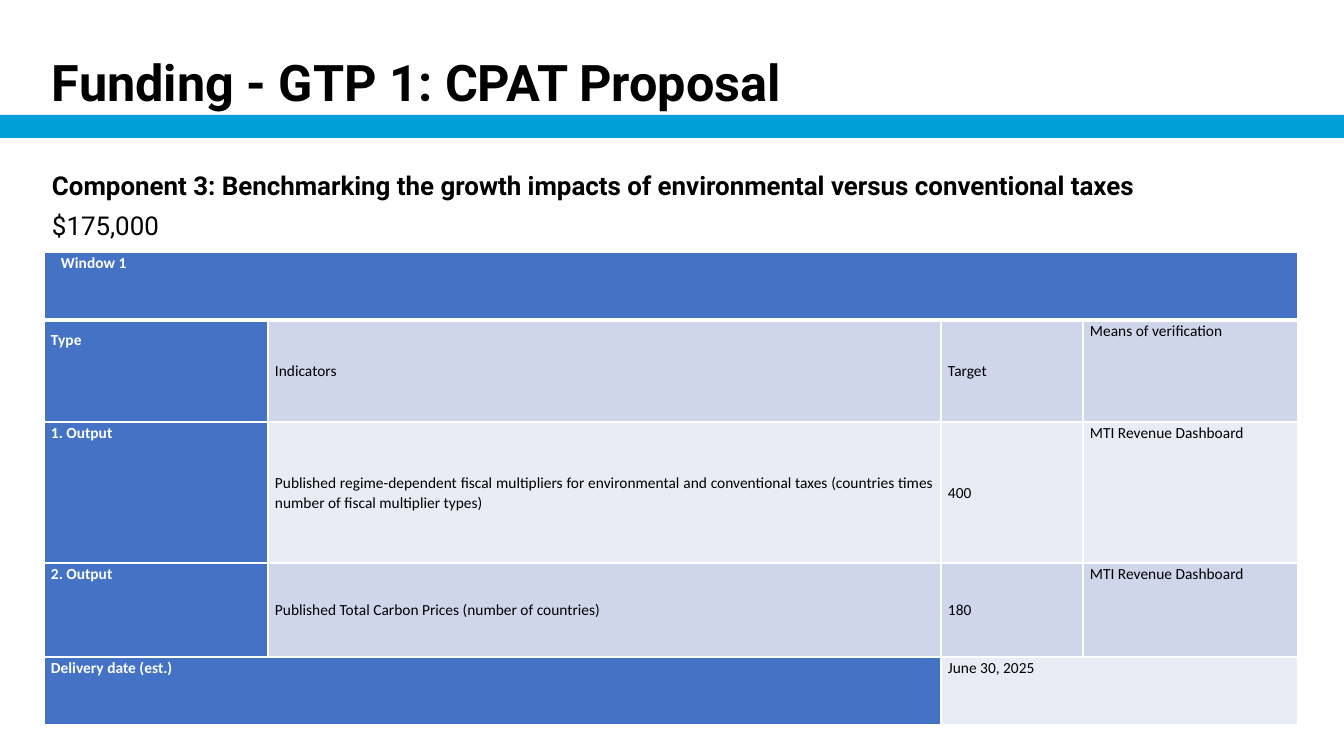
"""Build the funding proposal slide with its indicator table."""
from dataclasses import dataclass

from lxml.etree import SubElement
from pptx import Presentation
from pptx.dml.color import RGBColor
from pptx.enum.shapes import MSO_SHAPE
from pptx.enum.text import MSO_ANCHOR, PP_ALIGN
from pptx.oxml.ns import qn
from pptx.util import Pt

EMU_PER_PX = 914400 / 100.8


@dataclass(frozen=True)
class Theme:
    """Colours, fonts and type sizes of the slide."""
    black: str = "000000"
    white: str = "FFFFFF"
    bar: str = "009FDA"
    header: str = "4472C4"
    dark_band: str = "CFD5EA"
    light_band: str = "E9EBF5"
    heading_font: str = "Roboto"
    table_font: str = "Calibri"
    title_size: float = 36
    body_size: float = 18.5
    table_size: float = 11


THEME = Theme()
COLUMNS = (224, 673, 142, 215)
ROWS = (68, 102, 141, 94, 68)
CONTENT = (
    ("Window 1", None, None, None),
    ("Type", "Indicators", "Target", "Means of verification"),
    ("1. Output",
     "Published regime-dependent fiscal multipliers for environmental and "
     "conventional taxes (countries times number of fiscal multiplier types)",
     "400", "MTI Revenue Dashboard"),
    ("2. Output", "Published Total Carbon Prices (number of countries)",
     "180", "MTI Revenue Dashboard"),
    ("Delivery date (est.)", None, "June 30, 2025", None),
)
MERGES = (((0, 0), (0, 3)), ((4, 0), (4, 1)), ((4, 2), (4, 3)))


def px(length):
    """Turn pixels into EMU."""
    return round(length * EMU_PER_PX)


def place(left, top, width, height):
    """Return a frame in EMU."""
    return px(left), px(top), px(width), px(height)


def style_font(font, name, size, color, bold):
    """Set the face, size, colour and weight of a font."""
    font.name = name
    font.size = Pt(size)
    font.bold = bold
    font.color.rgb = RGBColor.from_string(color)


def add_bar(page, frame):
    """Add the coloured bar under the title."""
    bar = page.shapes.add_shape(MSO_SHAPE.RECTANGLE, *place(*frame))
    bar.shadow.inherit = False
    bar.fill.solid()
    bar.fill.fore_color.rgb = RGBColor.from_string(THEME.bar)
    bar.line.fill.background()


def add_text(page, frame, lines, size, spacing, anchor):
    """Add a text box from pairs of wording and weight."""
    box = page.shapes.add_textbox(*place(*frame)).text_frame
    box.word_wrap = True
    box.vertical_anchor = anchor
    box.margin_left = box.margin_right = px(10)
    box.margin_top = box.margin_bottom = px(5)
    for index, (wording, bold) in enumerate(lines):
        para = box.add_paragraph() if index else box.paragraphs[0]
        para.text = wording
        para.line_spacing = spacing
        style_font(para.font, THEME.heading_font, size, THEME.black, bold)


def set_borders(cell, row):
    """Draw white cell borders, thicker between the first two rows."""
    properties = cell._tc.get_or_add_tcPr()
    for side in ("L", "R", "T", "B"):
        thick = (row, side) in ((0, "B"), (1, "T"))
        line = SubElement(properties, qn(f"a:ln{side}"), w=str(Pt(3 if thick else 1)))
        fill = SubElement(line, qn("a:solidFill"))
        SubElement(fill, qn("a:srgbClr"), val=THEME.white)


def fill_cell(cell, row, column, wording):
    """Set the borders, fill and text of one table cell."""
    is_header = column == 0 or row == 0 or (row == 4 and column == 1)
    band = THEME.dark_band if row % 2 else THEME.light_band
    set_borders(cell, row)
    cell.fill.solid()
    cell.fill.fore_color.rgb = RGBColor.from_string(THEME.header if is_header else band)
    cell.margin_left = px(17 if row == 0 else 7)
    cell.margin_right = px(7)
    cell.margin_top = px(9 if wording == "Type" else 0)
    cell.margin_bottom = 0
    centred = column in (1, 2) and row in (1, 2, 3)
    cell.vertical_anchor = MSO_ANCHOR.MIDDLE if centred else MSO_ANCHOR.TOP
    if wording is None:
        return
    para = cell.text_frame.paragraphs[0]
    para.text = wording
    para.line_spacing = 1.07
    para.alignment = PP_ALIGN.LEFT if column == 3 else PP_ALIGN.JUSTIFY
    style_font(para.font, THEME.table_font, THEME.table_size,
               THEME.white if is_header else THEME.black, is_header)


def add_indicator_table(page, left, top):
    """Add the table of indicators, targets and verification."""
    frame = place(left, top, sum(COLUMNS), sum(ROWS))
    table = page.shapes.add_table(len(ROWS), len(COLUMNS), *frame).table
    table.first_row = table.horz_banding = False
    for column, width in zip(table.columns, COLUMNS):
        column.width = px(width)
    for row, height in zip(table.rows, ROWS):
        row.height = px(height)
    for row, wordings in enumerate(CONTENT):
        for column, wording in enumerate(wordings):
            fill_cell(table.cell(row, column), row, column, wording)
    for first, last in MERGES:
        table.cell(*first).merge(table.cell(*last))


def main():
    """Build and save the deck."""
    deck = Presentation()
    deck.slide_width, deck.slide_height = px(1344), px(756)
    page = deck.slides.add_slide(deck.slide_layouts[6])
    add_bar(page, (0, 115, 1344, 23))
    add_text(page, (42, 52, 1258, 64), [("Funding - GTP 1: CPAT Proposal", True)],
             THEME.title_size, 0.8, MSO_ANCHOR.BOTTOM)
    add_text(page, (42, 155, 1256, 95),
             [("Component 3: Benchmarking the growth impacts of environmental "
               "versus conventional taxes", True), ("$175,000", False)],
             THEME.body_size, 1.3, MSO_ANCHOR.TOP)
    add_indicator_table(page, 44, 252)
    deck.save("out.pptx")


if __name__ == "__main__":
    main()
